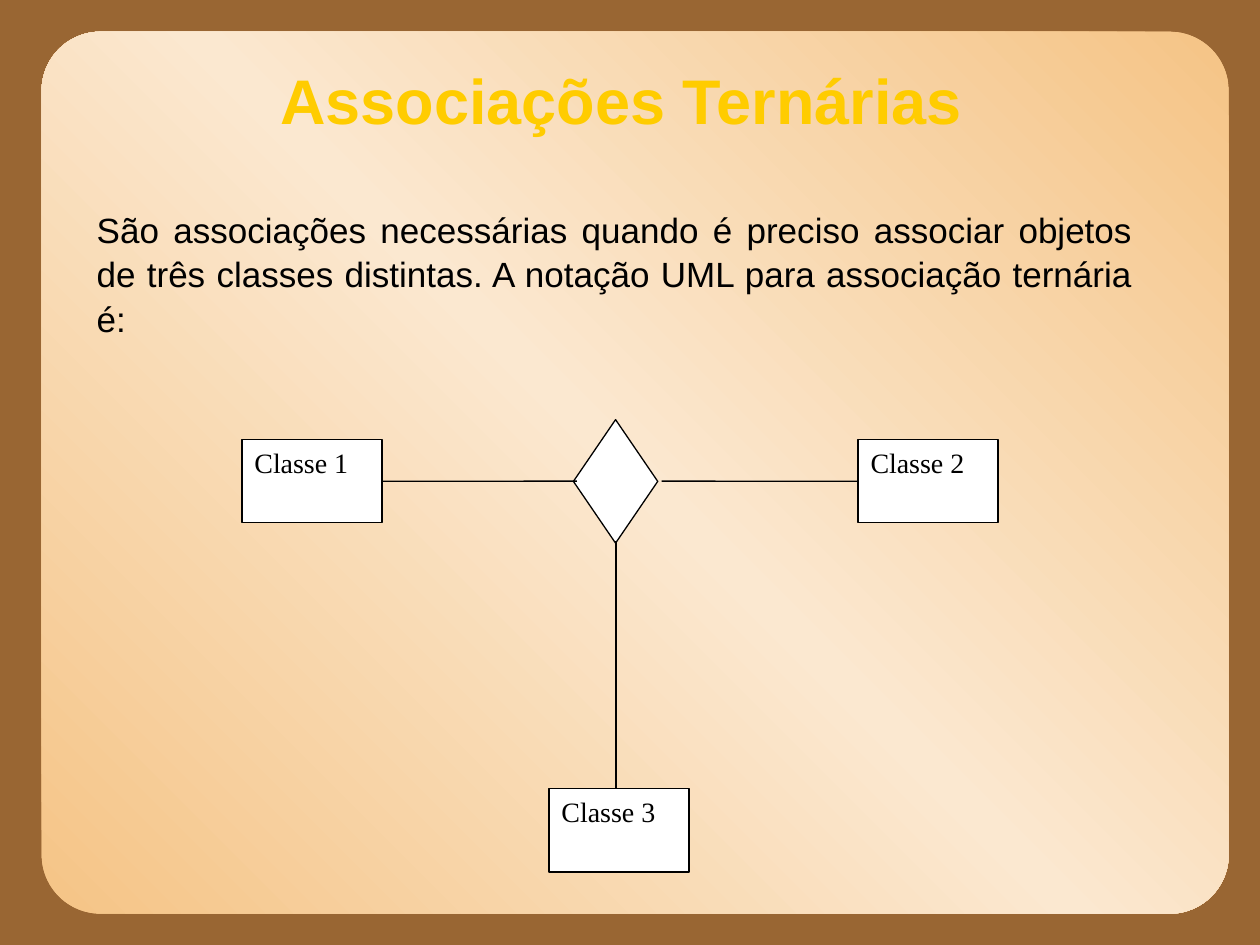
from copy import deepcopy
from typing import NamedTuple, Optional

from lxml.etree import SubElement
from pptx import Presentation
from pptx.dml.color import RGBColor
from pptx.enum.shapes import MSO_CONNECTOR as Connector, MSO_SHAPE as Preset
from pptx.enum.text import MSO_ANCHOR as Anchor, PP_ALIGN as Align
from pptx.oxml.ns import qn
from pptx.util import Cm, Pt

BROWN = RGBColor(0x99, 0x66, 0x33)
SAND = RGBColor(0xF5, 0xC4, 0x86)
CREAM = RGBColor(0xFB, 0xE8, 0xD0)
YELLOW = RGBColor(0xFF, 0xCC, 0x00)
BLACK = RGBColor(0x00, 0x00, 0x00)
WHITE = RGBColor(0xFF, 0xFF, 0xFF)

BOX_WIDTH, BOX_HEIGHT = 2.82, 1.68
UPPER_TOP, LOWER_TOP = 8.86, 15.9
AXIS_Y = UPPER_TOP + BOX_HEIGHT / 2
AXIS_X = 12.42
LEFT, RIGHT = 1, 3  # connection sites of a rectangle


class ClassBox(NamedTuple):
    name: str
    left: float
    top: float


class Link(NamedTuple):
    start: tuple[float, float]
    end: tuple[float, float]
    box_name: Optional[str] = None  # class box joined at the start
    site: int = 0


CLASSES = [
    ClassBox("Classe 1", 4.88, UPPER_TOP),
    ClassBox("Classe 2", 17.3, UPPER_TOP),
    ClassBox("Classe 3", 11.07, LOWER_TOP),
]
LINKS = [
    Link((7.7, AXIS_Y), (11.63, AXIS_Y), "Classe 1", RIGHT),
    Link((17.3, AXIS_Y), (13.34, AXIS_Y), "Classe 2", LEFT),
    Link((AXIS_X, 10.9), (AXIS_X, LOWER_TOP)),
]


def add_span(para, text: str, font: str, size: float, color: RGBColor, bold: bool = False) -> None:
    span = para.add_run()
    span.text = text
    span.font.name = font
    span.font.size = Pt(size)
    span.font.bold = bold
    span.font.color.rgb = color


def add_outlined(page, preset, left: float, top: float, width: float, height: float):
    shape = page.shapes.add_shape(preset, Cm(left), Cm(top), Cm(width), Cm(height))
    shape.shadow.inherit = False
    shape.fill.solid()
    shape.fill.fore_color.rgb = WHITE
    shape.line.color.rgb = BLACK
    shape.line.width = Pt(0.75)
    return shape


def add_panel(page) -> None:
    panel = page.shapes.add_shape(Preset.ROUNDED_RECTANGLE, Cm(0.84), Cm(0.64), Cm(23.93), Cm(17.78))
    panel.adjustments[0] = 0.067
    panel.shadow.inherit = False
    panel.line.fill.background()
    panel.fill.gradient()
    panel.fill.gradient_angle = 45
    # A third stop puts the light band in the middle
    stop_list = panel._element.spPr.find(qn("a:gradFill")).find(qn("a:gsLst"))
    stop_list.insert(1, deepcopy(stop_list[0]))
    for stop, position, color in zip(panel.fill.gradient_stops, (0, 0.5, 1), (SAND, CREAM, SAND)):
        stop.position = position
        stop.color.rgb = color


def add_title(page) -> None:
    title = page.shapes.title
    title.left, title.top, title.width, title.height = Cm(1.9), Cm(0.84), Cm(21.6), Cm(2.34)
    title.text_frame.vertical_anchor = Anchor.MIDDLE
    para = title.text_frame.paragraphs[0]
    para.alignment = Align.CENTER
    add_span(para, "Associações Ternárias ", "Arial", 36, YELLOW, bold=True)


def add_explanation(page) -> None:
    box = page.shapes.add_textbox(Cm(1.7), Cm(4.02), Cm(21.38), Cm(2.8))
    box.text_frame.word_wrap = True
    para = box.text_frame.paragraphs[0]
    para.alignment = Align.JUSTIFY
    para.space_before = Pt(12.5)
    para.line_spacing = 1.06
    add_span(
        para,
        "São associações necessárias quando é preciso associar objetos de três classes "
        "distintas. A notação UML para associação ternária é: ",
        "Arial", 20, BLACK,
    )


def add_class(page, item: ClassBox):
    box = add_outlined(page, Preset.RECTANGLE, item.left, item.top, BOX_WIDTH, BOX_HEIGHT)
    box.text_frame.vertical_anchor = Anchor.TOP
    para = box.text_frame.paragraphs[0]
    para.alignment = Align.LEFT
    add_span(para, item.name, "Times New Roman", 16, BLACK)
    return box


def add_link(page, link: Link, boxes: dict) -> None:
    ends = [Cm(value) for value in (*link.start, *link.end)]
    line = page.shapes.add_connector(Connector.STRAIGHT, *ends)
    line.line.color.rgb = BLACK
    line.line.width = Pt(0.75)
    SubElement(line._element.spPr, qn("a:effectLst"))
    if link.box_name:
        line.begin_connect(boxes[link.box_name], link.site)


def main() -> None:
    deck = Presentation()
    deck.slide_width, deck.slide_height = Cm(25.4), Cm(19.05)
    page = deck.slides.add_slide(deck.slide_layouts[5])

    # Background and texts
    page.background.fill.solid()
    page.background.fill.fore_color.rgb = BROWN
    add_panel(page)
    add_title(page)
    page.shapes._spTree.append(page.shapes.title._element)  # title above the panel
    add_explanation(page)

    # Ternary association diagram
    boxes = {item.name: add_class(page, item) for item in CLASSES}
    add_outlined(page, Preset.DIAMOND, 11.56, 8.46, 1.7, 2.49)
    for link in LINKS:
        add_link(page, link, boxes)

    deck.save("out.pptx")


if __name__ == "__main__":
    main()
